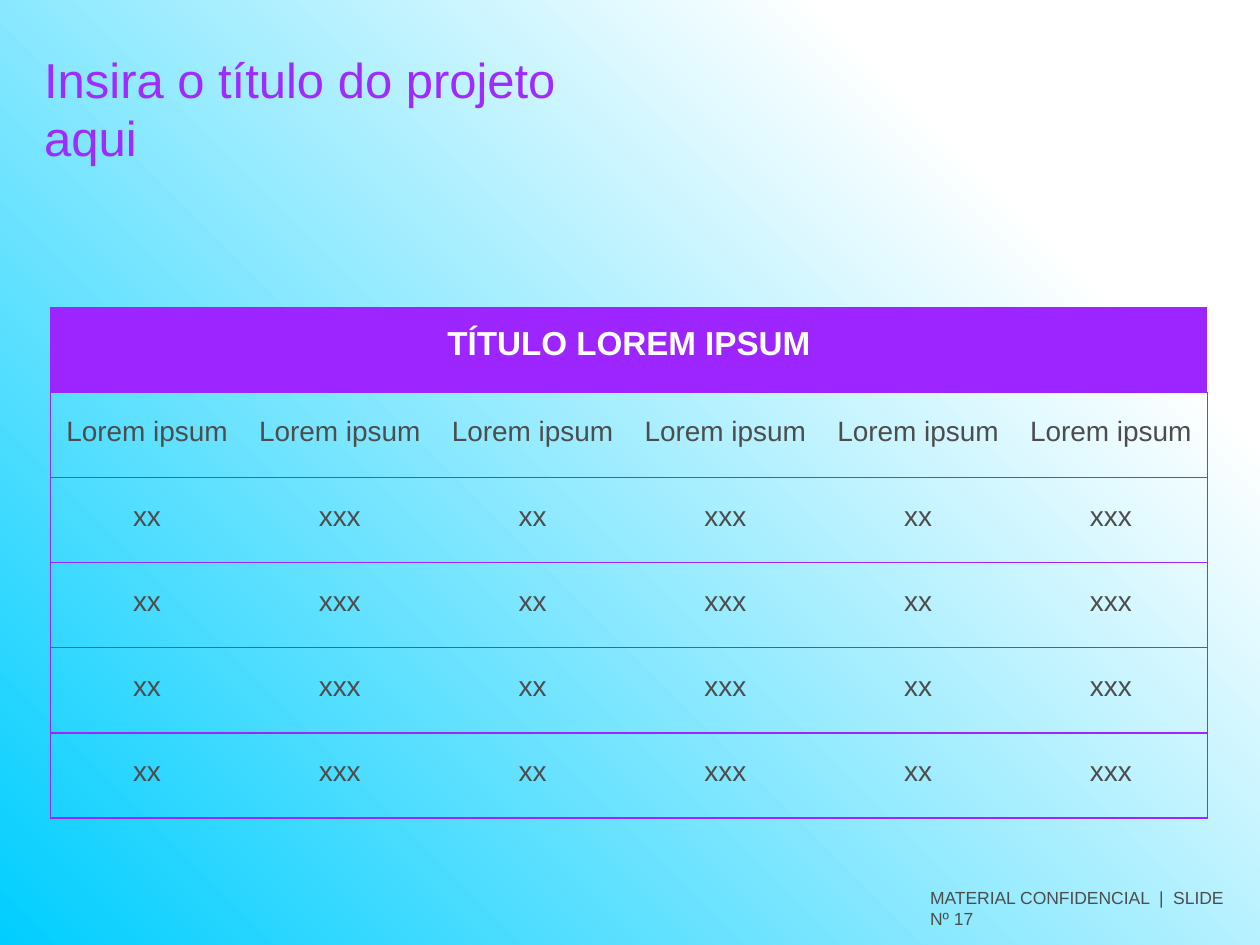
"""Build a project slide with a titled table on a gradient background."""
from dataclasses import dataclass

from lxml.etree import SubElement
from pptx import Presentation
from pptx.dml.color import RGBColor
from pptx.enum.text import MSO_ANCHOR, PP_ALIGN
from pptx.oxml.ns import qn
from pptx.util import Cm, Pt


@dataclass(frozen=True)
class Theme:
    font: str = "Arial"
    cyan: str = "00CEFF"
    white: str = "FFFFFF"
    grid: str = "9D25FF"
    title: str = "A02BFF"
    text: str = "4D4D4D"
    big: int = 28
    head: int = 19
    body: int = 16
    small: int = 10


theme = Theme()


def write(frame, text, size, color, bold=False, align=PP_ALIGN.LEFT,
          lead=None, anchor=MSO_ANCHOR.TOP):
    frame.text = text
    frame.vertical_anchor = anchor
    para = frame.paragraphs[0]
    para.alignment = align
    if lead:
        para.line_spacing = Pt(lead)
    font = para.runs[0].font
    font.name, font.size, font.bold = theme.font, Pt(size), bold
    font.color.rgb = RGBColor.from_string(color)


def border(cell, sides):
    props = cell._tc.get_or_add_tcPr()
    for side in "LRTB":
        line = SubElement(props, qn(f"a:ln{side}"), w=str(Pt(0.75)))
        if side in sides:
            fill = SubElement(line, qn("a:solidFill"))
            SubElement(fill, qn("a:srgbClr"), val=theme.grid)
        else:
            SubElement(line, qn("a:noFill"))


deck = Presentation()
deck.slide_width, deck.slide_height = Cm(25.4), Cm(19.05)
slide = deck.slides.add_slide(deck.slide_layouts[5])

back = slide.background.fill
back.gradient()
back.gradient_angle = 45
for stop, place, color in zip(back.gradient_stops, (0, 0.8), (theme.cyan, theme.white)):
    stop.position = place
    stop.color.rgb = RGBColor.from_string(color)

labels = ["Lorem ipsum"] * 6
values = ["xx", "xxx"] * 3
rows = [["TÍTULO LOREM IPSUM"], labels] + [values] * 4
wide, high = 1.53 * 2.54, 1.715
table = slide.shapes.add_table(len(rows), len(labels), Cm(1.02), Cm(6.2),
                               Cm(wide * len(labels)), Cm(high * len(rows))).table
table.first_row = table.horz_banding = False
for col in table.columns:
    col.width = Cm(wide)
for row in table.rows:
    row.height = Cm(high)
table.cell(0, 0).merge(table.cell(0, len(labels) - 1))

last = len(labels) - 1
for r, row in enumerate(table.rows):
    for c, cell in enumerate(row.cells):
        border(cell, "TB" + "L" * (c == 0) + "R" * (c == last))
        cell.margin_left = cell.margin_right = Cm(0.25)
        cell.margin_top = cell.margin_bottom = Cm(0.18)
        cell.vertical_anchor = MSO_ANCHOR.MIDDLE
        if r == 0:
            cell.fill.solid()
            cell.fill.fore_color.rgb = RGBColor.from_string(theme.grid)
        else:
            cell.fill.background()
        if c < len(rows[r]):
            write(cell.text_frame, rows[r][c], theme.body if r else theme.head,
                  theme.text if r else theme.white, bold=r == 0,
                  align=PP_ALIGN.CENTER, lead=14, anchor=None)

note = slide.shapes.add_textbox(Cm(18.75), Cm(17.88), Cm(6.15), Cm(0.64))
title = slide.shapes.title
title.left, title.top, title.width, title.height = Cm(0.89), Cm(0.99), Cm(12.29), Cm(3.51)
for shape, text, size, color in (
    (note, "MATERIAL CONFIDENCIAL  |  SLIDE Nº 17", theme.small, theme.text),
    (title, "Insira o título do projeto aqui", theme.big, theme.title),
):
    frame = shape.text_frame
    frame.word_wrap = True
    frame.margin_left = frame.margin_right = frame.margin_top = frame.margin_bottom = 0
    write(frame, text, size, color)

deck.save("out.pptx")
